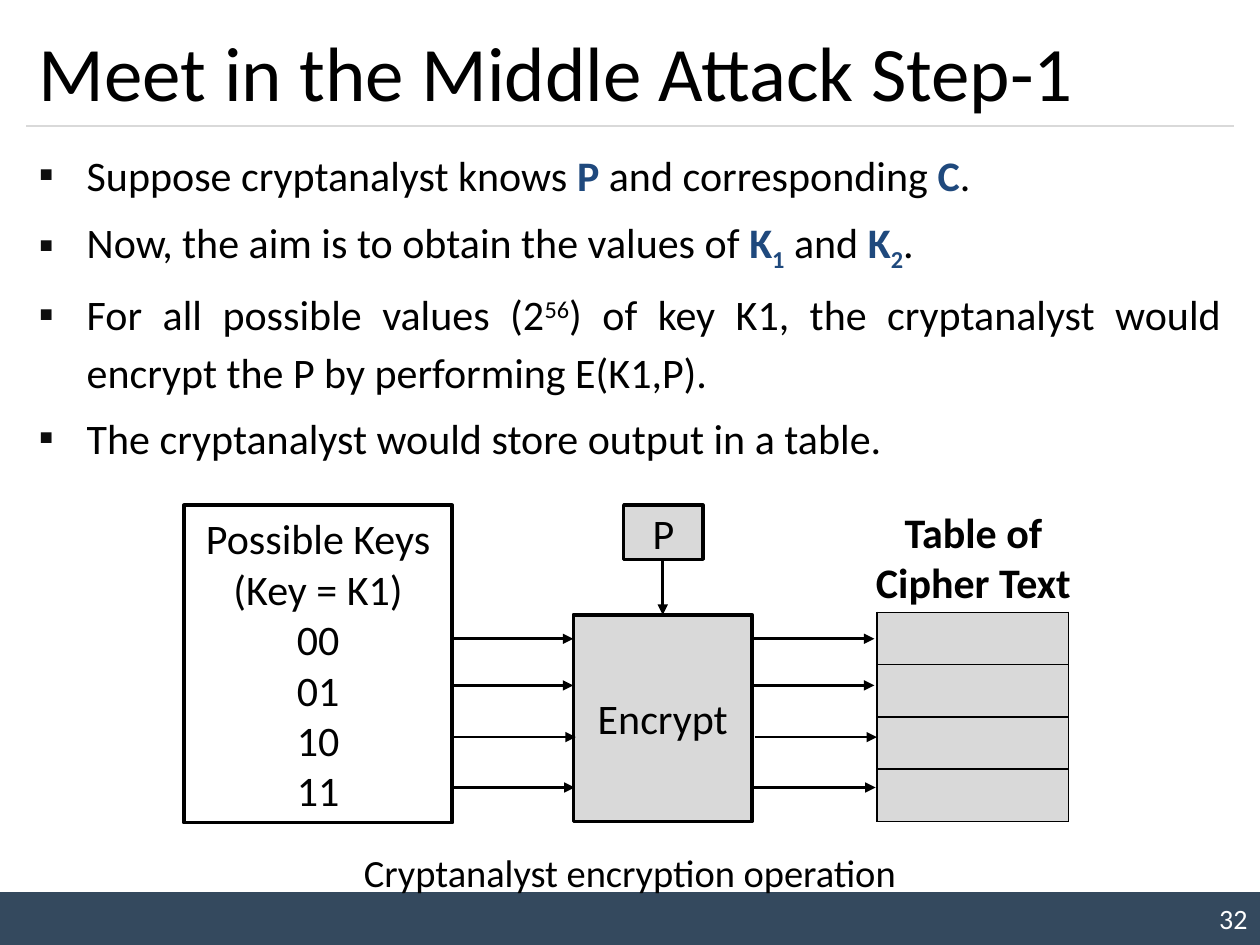
import pptx
import pptx.dml.color
import pptx.enum.shapes
import pptx.enum.text
import pptx.oxml
import pptx.oxml.ns
import pptx.util

Inches, Pt = pptx.util.Inches, pptx.util.Pt
RGB = pptx.dml.color.RGBColor
ALIGN = pptx.enum.text.PP_ALIGN
ANCHOR = pptx.enum.text.MSO_ANCHOR
BLACK = RGB(0, 0, 0)
WHITE = RGB(0xFF, 0xFF, 0xFF)
GREY = RGB(0xD9, 0xD9, 0xD9)
NAVY = RGB(0x34, 0x49, 0x5E)
BLUE = RGB(0x1F, 0x49, 0x7D)
BULLET = RGB(0x0D, 0x0D, 0x0D)
FONT = "Calibri"
NS = pptx.oxml.ns.nsdecls("a")

# Run styles: bold blue or not, and baseline shift in thousandths of a percent
STYLES = {"": (False, 0), "key": (True, 0), "sub": (True, -25000), "sup": (False, 30000)}

POINTS = [
    [("Suppose cryptanalyst knows ", ""), ("P", "key"),
     (" and corresponding ", ""), ("C", "key"), (".", "")],
    [("Now, the aim is to obtain the values of ", ""), ("K", "key"), ("1", "sub"),
     (" and ", ""), ("K", "key"), ("2", "sub"), (".", "")],
    [("For all possible values (2", ""), ("56", "sup"),
     (") of key K1, the cryptanalyst would encrypt the P by performing E(K1,P).", "")],
    "The cryptanalyst would store output in a table.",
]
KEYS = ["Possible Keys", "(Key = K1)", "00", "01", "10", "11"]
FLOWS = [(5.07, 0), (5.44, 0), (5.85, 0.02), (6.25, 0.01)]  # height, shift right


def xml(text):
    return pptx.oxml.parse_xml(text)


def mark(para):
    """Give the paragraph a square bullet with a hanging indent."""
    props = para._p.get_or_add_pPr()
    props.set("marL", str(Inches(0.38)))
    props.set("indent", str(-Inches(0.38)))
    props.append(xml(f'<a:buClr {NS}><a:srgbClr val="{BULLET}"/></a:buClr>'))
    props.append(xml(f'<a:buFont {NS} typeface="{FONT}"/>'))
    props.append(xml(f'<a:buChar {NS} char="▪"/>'))


def write(shape, paras, size=24, color=BLACK, bold=False, align=ALIGN.CENTER,
          anchor=ANCHOR.MIDDLE, bullet=False, line=None, before=0):
    """Fill a shape with paragraphs, each a string or a list of styled runs."""
    frame = shape.text_frame
    frame.word_wrap = True
    frame.vertical_anchor = anchor
    for i, runs in enumerate(paras):
        para = frame.paragraphs[0] if i == 0 else frame.add_paragraph()
        if bullet:
            mark(para)
        para.alignment = align
        if line:
            para.line_spacing = line
        if i and before:
            para.space_before = Pt(before)
        for text, style in [(runs, "")] if isinstance(runs, str) else runs:
            strong, shift = STYLES[style]
            run = para.add_run()
            run.text = text
            font = run.font
            font.name, font.size = FONT, Pt(size)
            font.bold = bold or strong
            font.color.rgb = BLUE if strong else color
            if shift:
                run._r.get_or_add_rPr().set("baseline", str(shift))


def label(slide, box, paras, **style):
    shape = slide.shapes.add_textbox(*map(Inches, box))
    write(shape, paras, **style)


def block(slide, box, fill, paras, edge=BLACK, **style):
    kind = pptx.enum.shapes.MSO_SHAPE.RECTANGLE
    shape = slide.shapes.add_shape(kind, *map(Inches, box))
    shape.shadow.inherit = False
    shape.fill.solid()
    shape.fill.fore_color.rgb = fill
    if edge is None:
        shape.line.fill.background()
    else:
        shape.line.color.rgb = edge
        shape.line.width = Pt(2)
    write(shape, paras, **style)


def link(slide, start, end, color=BLACK, width=1.5, arrow=True):
    kind = pptx.enum.shapes.MSO_CONNECTOR.STRAIGHT
    line = slide.shapes.add_connector(kind, *map(Inches, start + end))
    line.line.color.rgb = color
    line.line.width = Pt(width)
    if arrow:
        line.line._get_or_add_ln().append(xml(f'<a:tailEnd {NS} type="triangle"/>'))
    line._element.spPr.append(xml(f"<a:effectLst {NS}/>"))


def grid(slide, box, rows):
    """Draw a one-column table of empty grey cells."""
    table = slide.shapes.add_table(rows, 1, *map(Inches, box)).table
    table.first_row = table.horz_banding = False
    for cell in table.iter_cells():
        props = cell._tc.get_or_add_tcPr()
        for side in "LRTB":
            props.append(xml(
                f'<a:ln{side} {NS} w="{Pt(1)}"><a:solidFill>'
                f'<a:srgbClr val="{BLACK}"/></a:solidFill></a:ln{side}>'))
        cell.fill.solid()
        cell.fill.fore_color.rgb = GREY


def main():
    deck = pptx.Presentation()
    deck.slide_width, deck.slide_height = Inches(10), Inches(7.5)
    slide = deck.slides.add_slide(deck.slide_layouts[6])

    block(slide, (0, 7.08, 10, 0.42), NAVY, ["32"], edge=None,
          size=16, color=WHITE, align=ALIGN.RIGHT)
    link(slide, (0.21, 1), (9.79, 1), color=GREY, width=0.75, arrow=False)
    label(slide, (0.21, 0.12, 9.58, 0.88), ["Meet in the Middle Attack Step-1"],
          size=44, align=ALIGN.LEFT)
    label(slide, (0.21, 1.08, 9.58, 2.92), POINTS, align=ALIGN.JUSTIFY,
          anchor=ANCHOR.TOP, bullet=True, line=1.14, before=4.8)

    grid(slide, (6.96, 4.86, 1.52, 1.66), 4)
    block(slide, (4.55, 4.88, 1.42, 1.64), GREY, ["Encrypt"])
    for y, shift in FLOWS:
        for x in (3.58, 5.97):
            link(slide, (x + shift, y), (x + shift + 0.97, y))
    block(slide, (4.95, 4.01, 0.63, 0.43), GREY, ["P"])
    link(slide, (5.26, 4.44), (5.26, 4.88))
    block(slide, (1.46, 4.01, 2.13, 2.52), WHITE, KEYS)

    label(slide, (6.8, 3.97, 1.85, 0.91), ["Table of Cipher Text"],
          bold=True, anchor=ANCHOR.TOP)
    label(slide, (2.78, 6.69, 4.44, 0.47), ["Cryptanalyst encryption operation"],
          size=22, anchor=ANCHOR.TOP)
    deck.save("out.pptx")


if __name__ == "__main__":
    main()
